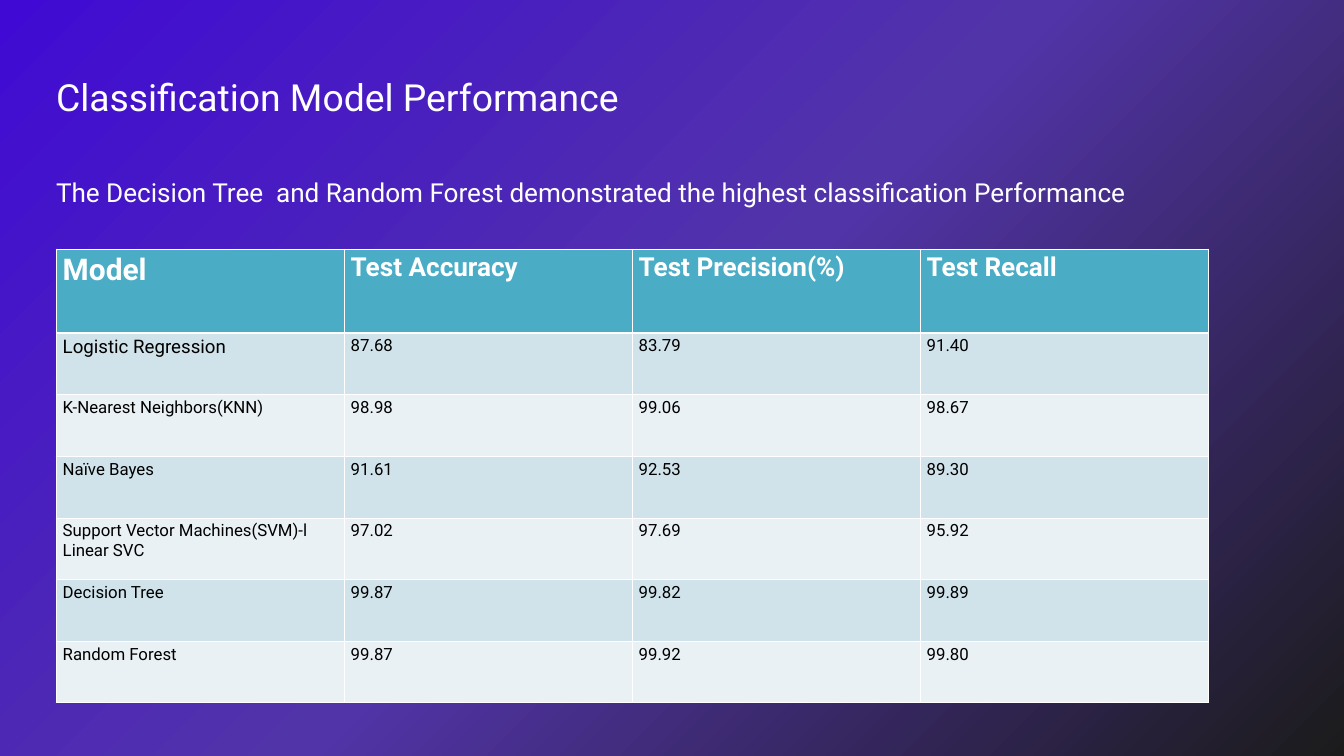
from copy import deepcopy
from dataclasses import dataclass

from lxml.etree import SubElement
from pptx import Presentation
from pptx.dml.color import RGBColor
from pptx.enum.text import MSO_ANCHOR as Anchor, MSO_AUTO_SIZE as AutoSize, PP_ALIGN as Align
from pptx.oxml.ns import qn
from pptx.util import Emu, Pt

PX_PER_INCH = 67.2


@dataclass(frozen=True)
class Theme:
    font: str = "Roboto"
    white: str = "FFFFFF"
    black: str = "000000"
    header: str = "4BACC6"
    bands: tuple = ("D0E3EA", "E9F1F5")
    backdrop: tuple = ((0, "400AD4"), (0.5, "5234A9"), (1, "1B1B1B"))
    title_size: int = 40
    subtitle_size: int = 28
    model_header_size: int = 32
    header_size: int = 28
    first_model_size: int = 20
    body_size: int = 18
    line_spacing: float = 94.5
    thin: int = 1
    thick: int = 3


@dataclass(frozen=True)
class ModelScore:
    model: str
    accuracy: str
    precision: str
    recall: str

    def values(self) -> tuple:
        return self.model, self.accuracy, self.precision, self.recall


THEME = Theme()
HEADINGS = ("Model", "Test Accuracy", "Test Precision(%)", "Test Recall")
SCORES = (
    ModelScore("Logistic Regression", "87.68", "83.79", "91.40"),
    ModelScore("K-Nearest Neighbors(KNN)", "98.98", "99.06", "98.67"),
    ModelScore("Naïve Bayes", "91.61", "92.53", "89.30"),
    ModelScore("Support Vector Machines(SVM)-l\nLinear SVC", "97.02", "97.69", "95.92"),
    ModelScore("Decision Tree", "99.87", "99.82", "99.89"),
    ModelScore("Random Forest", "99.87", "99.92", "99.80"),
)


def px(length: int) -> Emu:
    return Emu(round(length * 914400 / PX_PER_INCH))


def set_all(target, formats: dict) -> None:
    for name, value in formats.items():
        setattr(target, name, value)


def format_font(font, size: int, color: str, bold: bool = False) -> None:
    set_all(font, {"name": THEME.font, "size": Pt(size), "bold": bold})
    font.color.rgb = RGBColor.from_string(color)


def paint_background(slide) -> None:
    fill = slide.background.fill
    fill.gradient()
    fill.gradient_angle = 315
    stop_list = slide.element.find(".//" + qn("a:gsLst"))
    stop_list.append(deepcopy(stop_list[0]))
    for stop, (position, color) in zip(fill.gradient_stops, THEME.backdrop):
        stop.position = position
        stop.color.rgb = RGBColor.from_string(color)


def write_heading(slide) -> None:
    heading = slide.shapes.title
    set_all(heading, {"left": px(56), "top": px(31), "width": px(1119), "height": px(164)})
    frame = heading.text_frame
    frame.text = ("Classification Model Performance\n"
                  "The Decision Tree  and Random Forest demonstrated "
                  "the highest classification Performance")
    set_all(frame, {"margin_left": 0, "margin_top": 0, "margin_right": 0, "margin_bottom": 0,
                    "word_wrap": True, "vertical_anchor": Anchor.TOP,
                    "auto_size": AutoSize.SHAPE_TO_FIT_TEXT})
    for line, size in zip(frame.paragraphs, (THEME.title_size, THEME.subtitle_size)):
        set_all(line, {"alignment": Align.LEFT, "line_spacing": Pt(THEME.line_spacing),
                       "space_before": Pt(0)})
        format_font(line.runs[0].font, size, THEME.white)


def add_borders(cell, top: int, bottom: int) -> None:
    properties = cell._tc.get_or_add_tcPr()
    widths = {"a:lnL": THEME.thin, "a:lnR": THEME.thin, "a:lnT": top, "a:lnB": bottom}
    for index, (tag, width) in enumerate(widths.items()):
        border = SubElement(properties, qn(tag), w=str(Pt(width)))
        fill = SubElement(border, qn("a:solidFill"))
        SubElement(fill, qn("a:srgbClr"), val=THEME.white)
        properties.insert(index, border)  # borders come before the cell fill


def fill_cell(cell, text: str, row: int, column: int) -> None:
    is_header = row == 0
    if is_header:
        fill, color = THEME.header, THEME.white
        size = THEME.header_size if column else THEME.model_header_size
    else:
        fill, color = THEME.bands[(row - 1) % 2], THEME.black
        size = THEME.first_model_size if (row, column) == (1, 0) else THEME.body_size
    cell.fill.solid()
    cell.fill.fore_color.rgb = RGBColor.from_string(fill)
    cell.text_frame.text = text
    for line in cell.text_frame.paragraphs:
        format_font(line.runs[0].font, size, color, bold=is_header)
    add_borders(cell, THEME.thick if row == 1 else THEME.thin,
                THEME.thick if is_header else THEME.thin)


def add_scores(slide) -> None:
    header_height, body_height, column_width = 84, 370, 288
    rows = (HEADINGS, *(score.values() for score in SCORES))
    table = slide.shapes.add_table(
        len(rows), len(HEADINGS), px(56), px(249),
        px(column_width * len(HEADINGS)), px(header_height + body_height)).table
    table.horz_banding = False
    for column in table.columns:
        column.width = px(column_width)
    for row, texts in enumerate(rows):
        table.rows[row].height = px(body_height) // len(SCORES) if row else px(header_height)
        for column, text in enumerate(texts):
            fill_cell(table.cell(row, column), text, row, column)


def main() -> None:
    deck = Presentation()
    set_all(deck, {"slide_width": px(1344), "slide_height": px(756)})
    slide = deck.slides.add_slide(deck.slide_layouts[5])

    # Backdrop
    paint_background(slide)
    # Title and key finding
    write_heading(slide)
    # Model comparison
    add_scores(slide)

    deck.save("out.pptx")


if __name__ == "__main__":
    main()
